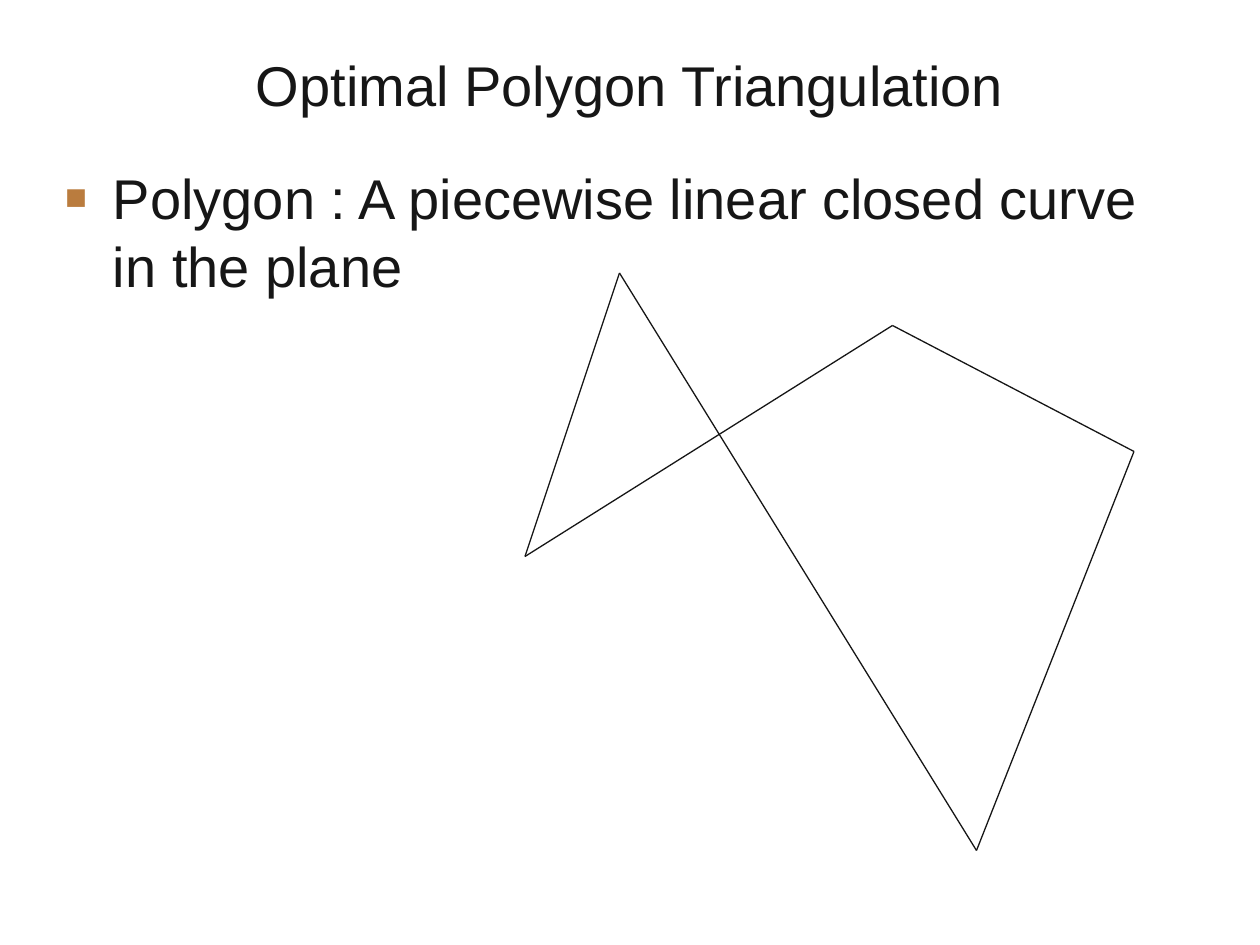
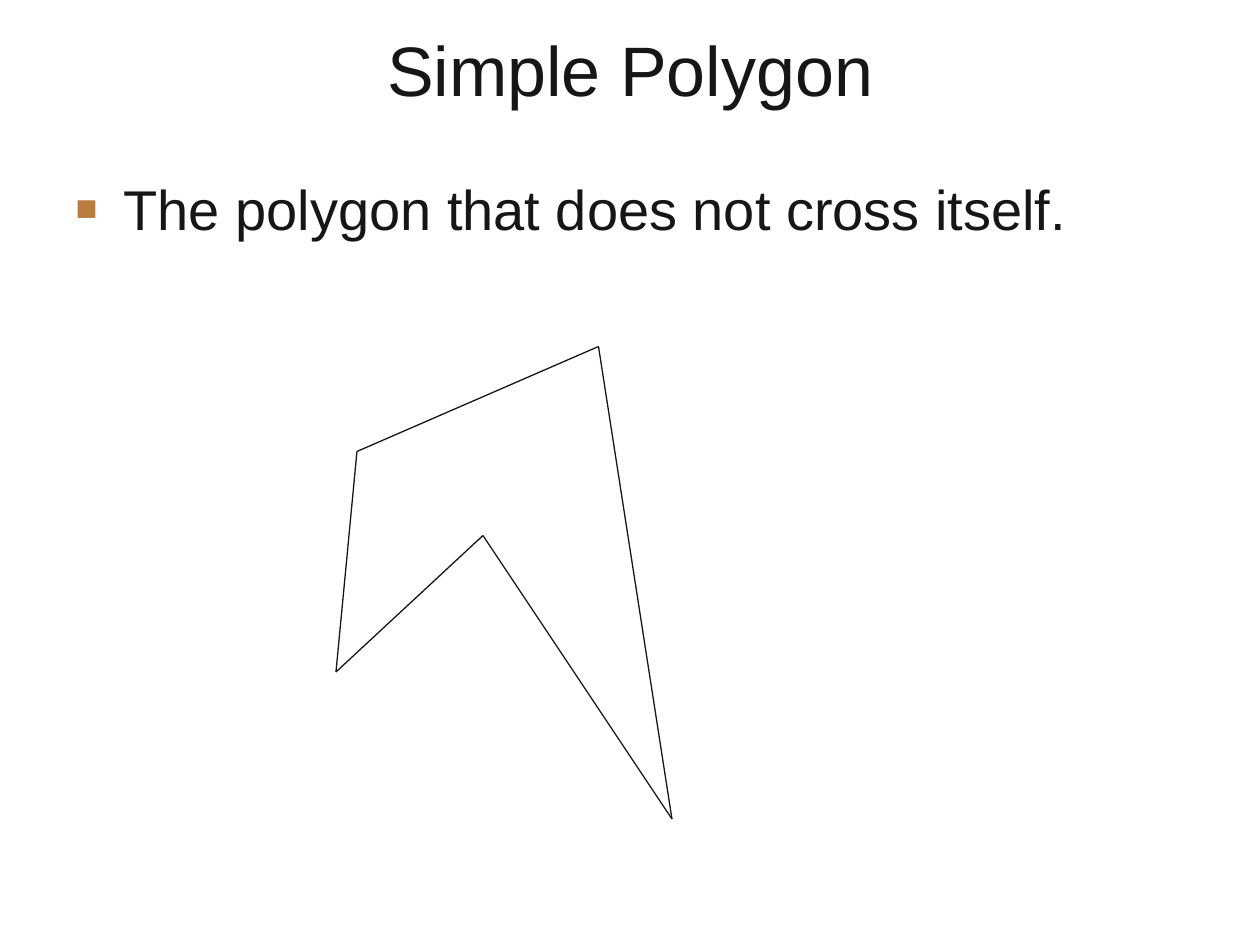
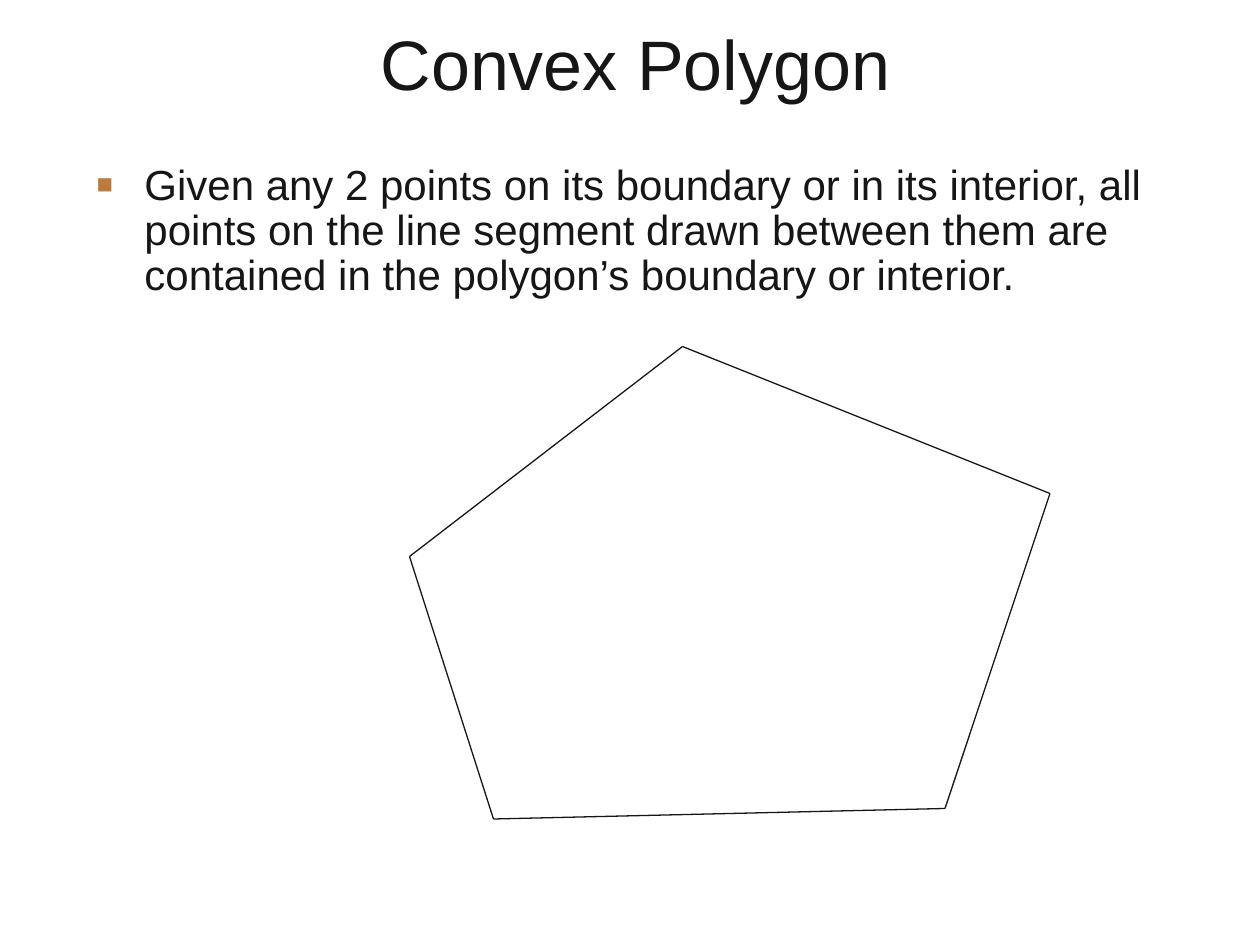
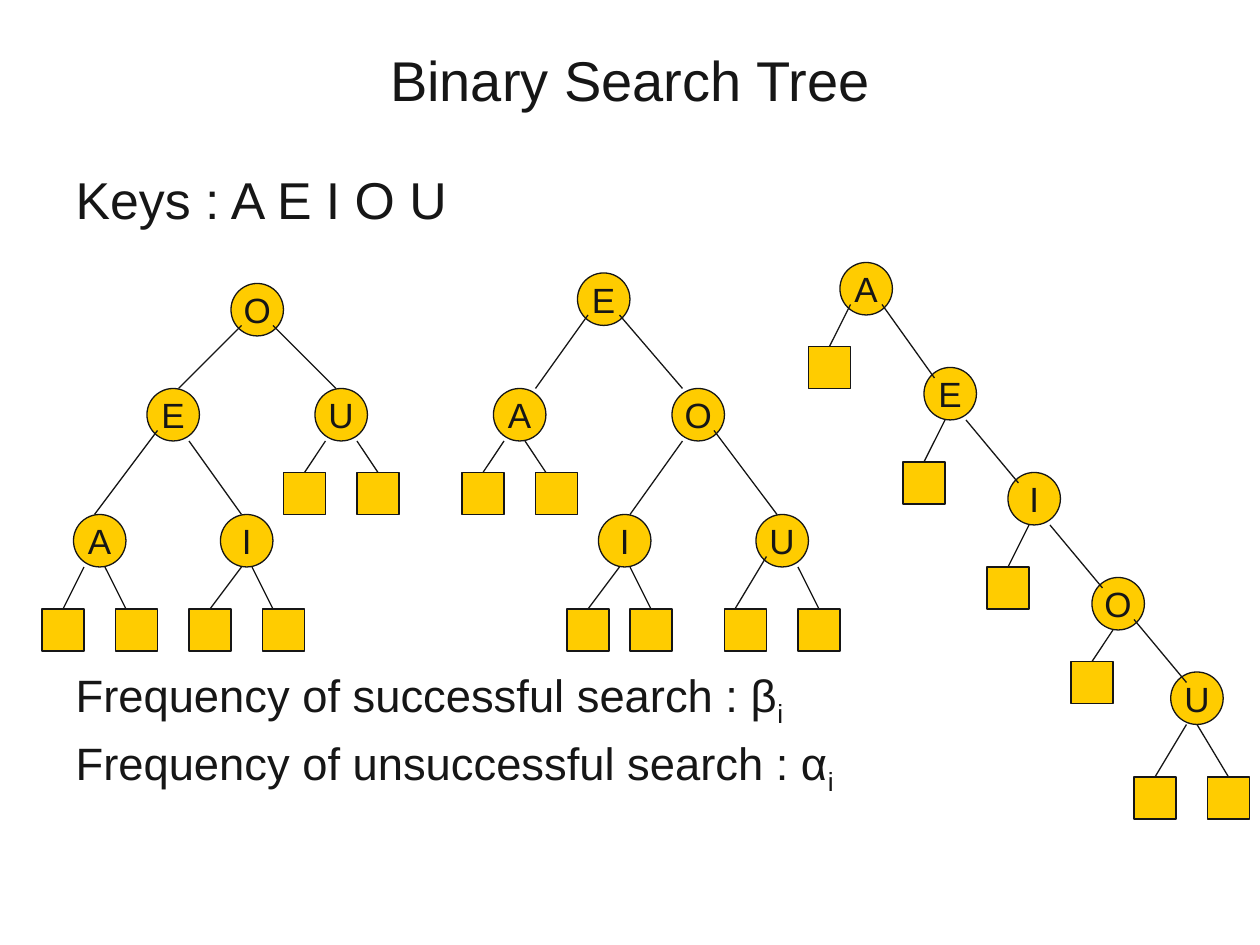
from lxml import etree
from pptx import Presentation
from pptx import util as u
from pptx.dml.color import RGBColor
from pptx.enum import shapes, text
from pptx.oxml import ns

INK = RGBColor(0x16, 0x16, 0x16)
BRONZE = RGBColor(0xBA, 0x7C, 0x3E)
GOLD = RGBColor(0xFF, 0xCC, 0x00)
FONT = "Arial"
LINE_WIDTH = u.Pt(0.75)
CELLS_PER_INCH = 12
INDENT = u.Inches(0.38)
NODE_SIZE = 5
LEAF_SIZE = 4

POLYGON_SLIDES = [
    dict(title="Optimal Polygon Triangulation", title_box=(6, 4, 108, 8), title_size=32,
         body="Polygon : A piecewise linear closed curve in the plane",
         body_box=(5, 15, 110, 69), body_size=32, before=8, spacing=1.0,
         corners=[(50, 53), (85, 31), (108, 43), (93, 81), (59, 26)]),
    dict(title="Simple Polygon", title_box=(6, 2, 108, 9), title_size=40,
         body="The polygon that does not cross itself.",
         body_box=(6, 16, 108, 64), body_size=32, before=8, spacing=1.0,
         corners=[(34, 43), (57, 33), (64, 78), (46, 51), (32, 64)]),
    dict(title="Convex Polygon", title_box=(6, 3, 109, 6), title_size=40,
         body="Given any 2 points on its boundary or in its interior, all points on the "
              "line segment drawn between them are contained in the polygon’s boundary "
              "or interior.",
         body_box=(8, 15, 112, 30), body_size=24, before=6, spacing=0.9,
         corners=[(39, 53), (65, 33), (100, 47), (90, 77), (47, 78)]),
]

TREES = [
    dict(nodes=[("O", 22, 27), ("E", 14, 37), ("U", 30, 37), ("A", 7, 49), ("I", 21, 49)],
         leaves=[(4, 58), (11, 58), (18, 58), (25, 58), (27, 45), (34, 45)],
         edges=[(23, 31, 17, 37), (26, 31, 32, 37), (15, 41, 9, 49), (18, 42, 23, 49),
                (8, 54, 6, 58), (10, 54, 12, 58), (23, 54, 20, 58), (24, 54, 26, 58),
                (31, 42, 29, 45), (34, 42, 36, 45)]),
    dict(nodes=[("E", 55, 26), ("A", 47, 37), ("O", 64, 37), ("I", 57, 49), ("U", 72, 49)],
         leaves=[(44, 45), (51, 45), (54, 58), (60, 58), (69, 58), (76, 58)],
         edges=[(56, 30, 51, 37), (59, 30, 65, 37), (65, 42, 60, 49), (68, 41, 74, 49),
                (48, 42, 46, 45), (50, 42, 52, 45), (59, 54, 56, 58), (60, 54, 62, 58),
                (73, 53, 70, 58), (76, 54, 78, 58)]),
    dict(nodes=[("A", 80, 25), ("E", 88, 35), ("I", 96, 45), ("O", 104, 55), ("U", 111.5, 64)],
         leaves=[(77, 33), (86, 44), (94, 54), (102, 63), (108, 74), (115, 74)],
         edges=[(89, 36, 84, 29), (97, 46, 92, 40), (105, 56, 100, 50), (113, 65, 108, 59),
                (81, 29, 79, 33), (90, 40, 88, 44), (98, 50, 96, 54), (106, 60, 104, 63),
                (113, 69, 110, 74), (114, 69, 117, 74)]),
]


def grid(*cells):
    return [u.Inches(c / CELLS_PER_INCH) for c in cells]


def add_run(p, words, size, subscript=False):
    r = p.add_run()
    r.text = words
    r.font.name = FONT
    r.font.size = u.Pt(size)
    r.font.color.rgb = INK
    if subscript:
        r.font._element.set("baseline", "-25000")


def place(sp, box, anchor):
    sp.left, sp.top, sp.width, sp.height = grid(*box)
    tf = sp.text_frame
    tf.auto_size = text.MSO_AUTO_SIZE.NONE
    tf.word_wrap = True
    tf.vertical_anchor = anchor
    return tf


def add_slide(prs, title, title_box, title_size, body_box):
    s = prs.slides.add_slide(prs.slide_layouts[1])
    p = place(s.shapes.title, title_box, text.MSO_ANCHOR.MIDDLE).paragraphs[0]
    p.alignment = text.PP_ALIGN.CENTER
    add_run(p, title, title_size)
    return s, place(s.placeholders[1], body_box, text.MSO_ANCHOR.TOP)


def format_item(p, before, spacing, bullet):
    p.space_before = u.Pt(before)
    p.line_spacing = spacing
    pPr = p._p.get_or_add_pPr()
    pPr.set("marL", str(INDENT))
    pPr.set("indent", str(-INDENT))
    if not bullet:
        etree.SubElement(pPr, ns.qn("a:buNone"))
        return
    color = etree.SubElement(pPr, ns.qn("a:buClr"))
    etree.SubElement(color, ns.qn("a:srgbClr"), val=str(BRONZE))
    etree.SubElement(pPr, ns.qn("a:buSzPct"), val="65000")
    etree.SubElement(pPr, ns.qn("a:buFont"), typeface=FONT)
    etree.SubElement(pPr, ns.qn("a:buChar"), char="■")


def add_line(s, x1, y1, x2, y2):
    line = s.shapes.add_connector(shapes.MSO_CONNECTOR.STRAIGHT, *grid(x1, y1, x2, y2))
    line.line.color.rgb = INK
    line.line.width = LINE_WIDTH
    etree.SubElement(line._element.spPr, ns.qn("a:effectLst"))


def add_polygon(s, corners):
    for start, end in zip(corners, corners[1:] + corners[:1]):
        add_line(s, *start, *end)


def add_gold_shape(s, kind, x, y, size):
    sp = s.shapes.add_shape(kind, *grid(x, y, size, size))
    sp.shadow.inherit = False
    sp.fill.solid()
    sp.fill.fore_color.rgb = GOLD
    sp.line.color.rgb = INK
    sp.line.width = LINE_WIDTH
    return sp


def add_node(s, key, x, y):
    tf = add_gold_shape(s, shapes.MSO_SHAPE.OVAL, x, y, NODE_SIZE).text_frame
    tf.word_wrap = False
    tf.vertical_anchor = text.MSO_ANCHOR.MIDDLE
    p = tf.paragraphs[0]
    p.alignment = text.PP_ALIGN.CENTER
    add_run(p, key, 20)


def add_tree(s, nodes, leaves, edges):
    for node in nodes:
        add_node(s, *node)
    for x, y in leaves:
        add_gold_shape(s, shapes.MSO_SHAPE.RECTANGLE, x, y, LEAF_SIZE)
    for edge in edges:
        add_line(s, *edge)


def add_polygon_slide(prs, title, title_box, title_size, body, body_box, body_size,
                      before, spacing, corners):
    s, tf = add_slide(prs, title, title_box, title_size, body_box)
    p = tf.paragraphs[0]
    format_item(p, before, spacing, bullet=True)
    add_run(p, body, body_size)
    add_polygon(s, corners)


def add_tree_slide(prs):
    s, tf = add_slide(prs, "Binary Search Tree", (6, 3, 108, 9), 32, (6, 16, 108, 68))
    p = tf.paragraphs[0]
    format_item(p, 8, 0.9, bullet=False)
    add_run(p, "Keys : A E I O U", 29.6)
    for words, before in (("Frequency of successful search : β", 250),
                          ("Frequency of unsuccessful search : α", 7)):
        p = tf.add_paragraph()
        format_item(p, before, 0.9, bullet=False)
        add_run(p, words, 25.9)
        add_run(p, "i", 25.9, subscript=True)
    for tree in TREES:
        add_tree(s, **tree)


def main():
    prs = Presentation()
    prs.slide_width = u.Inches(10)
    prs.slide_height = u.Inches(7.5)
    for content in POLYGON_SLIDES:
        add_polygon_slide(prs, **content)
    add_tree_slide(prs)
    prs.save("out.pptx")


if __name__ == "__main__":
    main()
